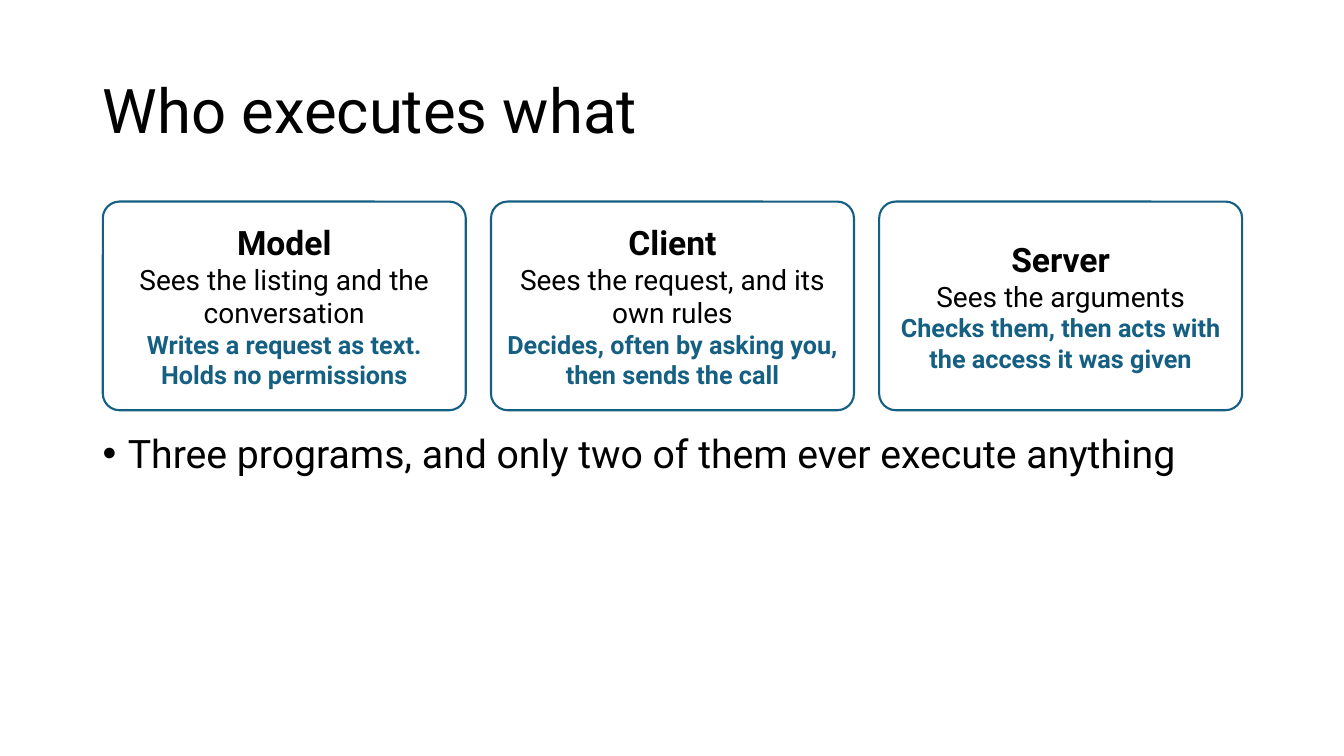
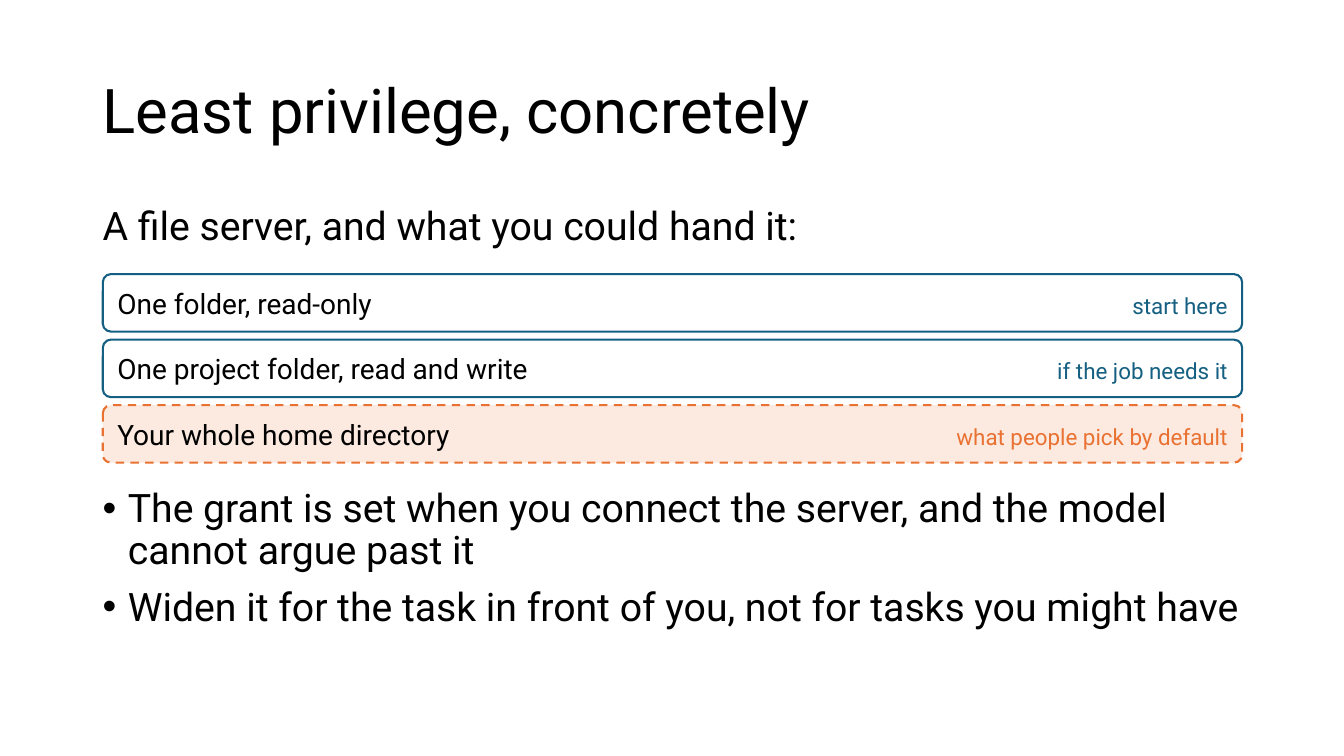
import pptx
import pptx.util
import pptx.dml.color
import pptx.enum.dml
import pptx.enum.shapes
import pptx.enum.text
import pptx.oxml.ns
import lxml.etree

Inches, Pt = pptx.util.Inches, pptx.util.Pt
RGBColor = pptx.dml.color.RGBColor
ALIGN, ANCHOR = pptx.enum.text.PP_ALIGN, pptx.enum.text.MSO_ANCHOR

BLACK = RGBColor(0x00, 0x00, 0x00)
WHITE = RGBColor(0xFF, 0xFF, 0xFF)
BLUE = RGBColor(0x15, 0x60, 0x82)
ORANGE = RGBColor(0xE9, 0x71, 0x32)
PEACH = RGBColor(0xFC, 0xEA, 0xE0)

FONT = "Roboto"
WIDTH, HEIGHT = 13.33, 7.5
TEXT_X, TEXT_W = 0.92, 11.5
INSET = 0.1
BODY_X, BODY_W = TEXT_X + INSET, TEXT_W - 2 * INSET
BODY_Y = 2

TITLE = {"size": Pt(44)}
BODY = {"size": Pt(28)}
CARD_STYLES = (
    {"size": Pt(24), "bold": True},
    {"size": Pt(20)},
    {"size": Pt(18), "bold": True, "color": BLUE},
)
GRANT = {"size": Pt(20)}
SAFE = {"fill": WHITE, "accent": BLUE, "dash": None}
RISKY = {"fill": PEACH, "accent": ORANGE, "dash": pptx.enum.dml.MSO_LINE.DASH}

CARDS = (
    ("Model", "Sees the listing and the conversation",
     "Writes a request as text. Holds no permissions"),
    ("Client", "Sees the request, and its own rules",
     "Decides, often by asking you, then sends the call"),
    ("Server", "Sees the arguments",
     "Checks them, then acts with the access it was given"),
)
GRANTS = (
    ("One folder, read-only", "start here", SAFE),
    ("One project folder, read and write", "if the job needs it", SAFE),
    ("Your whole home directory", "what people pick by default", RISKY),
)


def add_run(p, text, style):
    """Add a run in the deck font with the given format values."""
    r = p.add_run()
    r.text = text
    for name, value in {"name": FONT, "color": BLACK, **style}.items():
        if name == "color":
            r.font.color.rgb = value
        else:
            setattr(r.font, name, value)


def add_property(p, tag, **attributes):
    """Append a child element to the paragraph properties and return it."""
    return lxml.etree.SubElement(p._p.get_or_add_pPr(), pptx.oxml.ns.qn(tag), attributes)


def add_text(s, box, lines, style, anchor=ANCHOR.TOP, bulleted=False):
    """Place a text box with one paragraph for each line."""
    tf = s.shapes.add_textbox(*map(Inches, box)).text_frame
    tf.word_wrap = True
    tf.vertical_anchor = anchor
    for i, line in enumerate(lines):
        p = tf.paragraphs[0] if i == 0 else tf.add_paragraph()
        if bulleted:
            add_property(p, "a:buFont", typeface="Arial")
            add_property(p, "a:buChar", char="•")
            pPr = p._p.get_or_add_pPr()
            pPr.set("marL", str(Inches(0.25)))
            pPr.set("indent", str(Inches(-0.25)))
        p.line_spacing = 0.9
        if i:
            p.space_before = Pt(10)
        add_run(p, line, style)


def add_panel(shapes, box, look, radius):
    """Draw a rounded outlined panel and return its text frame."""
    sp = shapes.add_shape(pptx.enum.shapes.MSO_SHAPE.ROUNDED_RECTANGLE, *map(Inches, box))
    sp.adjustments[0] = radius
    sp.shadow.inherit = False
    sp.fill.solid()
    sp.fill.fore_color.rgb = look["fill"]
    sp.line.color.rgb = look["accent"]
    sp.line.width = Pt(1.5)
    if look["dash"]:
        sp.line.dash_style = look["dash"]
    tf = sp.text_frame
    tf.word_wrap = True
    tf.vertical_anchor = ANCHOR.MIDDLE
    return tf


def add_cards(s, box, cards, gap=0.25):
    """Fill the box with equal cards side by side."""
    x, y, w, h = box
    card_w = (w - gap * (len(cards) - 1)) / len(cards)
    group = s.shapes.add_group_shape()
    for i, card in enumerate(cards):
        tf = add_panel(group.shapes, (x + i * (card_w + gap), y, card_w, h), SAFE, 0.08)
        for j, (line, style) in enumerate(zip(card, CARD_STYLES)):
            p = tf.paragraphs[0] if j == 0 else tf.add_paragraph()
            p.alignment = ALIGN.CENTER
            add_run(p, line, style)


def add_grants(s, box, grants, gap=0.08, pad=0.12):
    """Stack equal rows in the box, each with a note at its right edge."""
    x, y, w, h = box
    row_h = (h - gap * (len(grants) - 1)) / len(grants)
    group = s.shapes.add_group_shape()
    for i, (label, note, look) in enumerate(grants):
        tf = add_panel(group.shapes, (x, y + i * (row_h + gap), w, row_h), look, 0.14)
        tf.margin_left = tf.margin_right = Inches(pad)
        tf.margin_top = tf.margin_bottom = Inches(pad / 2)
        p = tf.paragraphs[0]
        tabs = add_property(p, "a:tabLst")
        lxml.etree.SubElement(tabs, pptx.oxml.ns.qn("a:tab"),
                              {"pos": str(Inches(w - 2 * pad)), "algn": "r"})
        p.alignment = ALIGN.LEFT
        add_run(p, label, GRANT)
        add_run(p, "\t" + note, {"size": Pt(16), "color": look["accent"]})


def add_slide(prs, title):
    """Add a blank slide with the shared title."""
    s = prs.slides.add_slide(prs.slide_layouts[6])
    add_text(s, (TEXT_X, 0.4, TEXT_W, 1.45), [title], TITLE, ANCHOR.MIDDLE)
    return s


def build_roles(prs):
    """Build the slide on the three programs."""
    s = add_slide(prs, "Who executes what")
    add_cards(s, (BODY_X, BODY_Y, BODY_W, 2.07), CARDS)
    add_text(s, (TEXT_X, 4.26, TEXT_W, 2.49),
             ["Three programs, and only two of them ever execute anything"],
             BODY, bulleted=True)


def build_privilege(prs):
    """Build the slide on levels of access."""
    s = add_slide(prs, "Least privilege, concretely")
    add_text(s, (TEXT_X, BODY_Y, TEXT_W, 0.52),
             ["A file server, and what you could hand it:"], BODY)
    add_grants(s, (BODY_X, 2.72, BODY_W, 1.87), GRANTS)
    add_text(s, (TEXT_X, 4.8, TEXT_W, 1.96),
             ["The grant is set when you connect the server, and the model cannot argue past it",
              "Widen it for the task in front of you, not for tasks you might have"],
             BODY, bulleted=True)


def main():
    """Build and save the deck."""
    prs = pptx.Presentation()
    prs.slide_width, prs.slide_height = Inches(WIDTH), Inches(HEIGHT)
    build_roles(prs)
    build_privilege(prs)
    prs.save("out.pptx")


if __name__ == "__main__":
    main()
